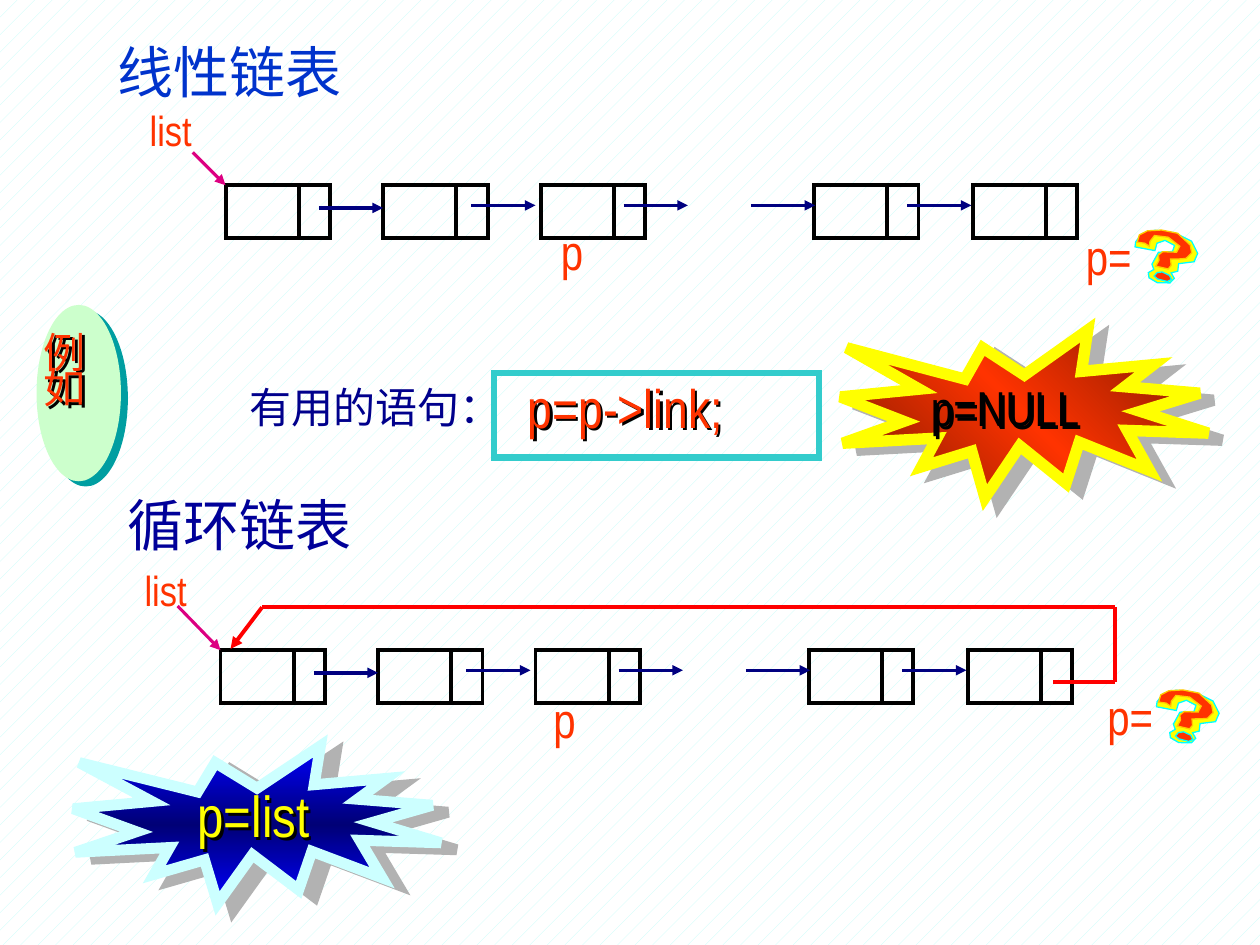
from dataclasses import dataclass

from lxml import etree
from pptx import Presentation
from pptx.dml.color import RGBColor
from pptx.enum.dml import MSO_PATTERN
from pptx.enum.shapes import MSO_CONNECTOR, MSO_SHAPE
from pptx.enum.text import MSO_ANCHOR, MSO_AUTO_SIZE, PP_ALIGN
from pptx.oxml.ns import qn
from pptx.util import Cm, Pt

RECT, OVAL, BURST = MSO_SHAPE.RECTANGLE, MSO_SHAPE.OVAL, MSO_SHAPE.EXPLOSION1
STRAIGHT, DOTS = MSO_CONNECTOR.STRAIGHT, MSO_PATTERN.PERCENT_5
LEFT, MID, TOP = PP_ALIGN.LEFT, PP_ALIGN.CENTER, MSO_ANCHOR.TOP
NO_FIT = MSO_AUTO_SIZE.NONE

UNIT = 2.54  # grid unit in centimetres
NARROW, SANS = "Arial Narrow", "Noto Sans CJK SC"
HEX = {
    "white": "FFFFFF", "mint": "C1FEF9", "black": "000000", "navy": "000080",
    "orange": "FF3300", "pink": "DC0081", "red": "FF0000", "blue": "0033CC",
    "indigo": "000099", "ink": "00008C", "yellow": "FFFF00", "cyan": "00FFFF",
    "gold": "FFCC00", "rust": "761800", "gray": "B2B2B2", "ice": "CCFFFF",
    "bright": "0000FF", "deep": "000076", "green": "CCFFCC", "teal": "009EA1",
    "frame": "33CCCC",
}


@dataclass
class Label:
    text: str
    box: tuple
    size: float
    color: str = "orange"
    font: str = NARROW
    align: int = LEFT
    wrap: bool = False
    shade: bool = False
    space: float = 1.0


@dataclass
class Burst:
    box: tuple
    edge: str
    width: float
    stops: tuple
    angle: int
    shade: tuple


def cms(*values: float) -> list:
    return [Cm(UNIT * v) for v in values]


def rgb(name: str) -> RGBColor:
    return RGBColor.from_string(HEX[name])


def add_tag(parent, tag: str, **attrs):
    return etree.SubElement(parent, qn(tag), {k: str(v) for k, v in attrs.items()})


def add_shade(shape, color: str, dist: float, angle: int) -> None:
    shape.shadow.inherit = False
    effect = shape._element.spPr.find(qn("a:effectLst"))
    outer = add_tag(effect, "a:outerShdw", blurRad=0, dist=Pt(dist),
                    dir=angle * 60000, algn="ctr", rotWithShape=0)
    add_tag(outer, "a:srgbClr", val=HEX[color])


def style(shape, fill=None, edge=None, width=1.0, shade=None) -> None:
    shape.shadow.inherit = False
    if fill:
        shape.fill.solid()
        shape.fill.fore_color.rgb = rgb(fill)
    else:
        shape.fill.background()
    if edge:
        shape.line.color.rgb = rgb(edge)
        shape.line.width = Pt(width)
        add_tag(shape.line._get_or_add_ln(), "a:miter", lim=800000)
    else:
        shape.line.fill.background()
    if shade:
        add_shade(shape, *shade)


def add_box(slide, kind: int, box: tuple, **look):
    shape = slide.shapes.add_shape(kind, *cms(*box))
    style(shape, **look)
    return shape


def add_line(slide, start: tuple, end: tuple, color: str, width: float, head=True):
    line = slide.shapes.add_connector(STRAIGHT, *cms(*start, *end))
    line.line.color.rgb = rgb(color)
    line.line.width = Pt(width)
    if head:
        add_tag(line.line._get_or_add_ln(), "a:tailEnd", type="triangle")
    add_tag(line._element.spPr, "a:effectLst")


def write(shape, label: Label) -> None:
    frame = shape.text_frame
    frame.text = label.text
    frame.word_wrap = label.wrap
    frame.auto_size = NO_FIT
    frame.vertical_anchor = TOP
    for para in frame.paragraphs:
        para.alignment = label.align
        para.line_spacing = label.space
        for run in para.runs:
            run.font.size = Pt(label.size)
            run.font.name = label.font
            run.font.color.rgb = rgb(label.color)
            props = run._r.get_or_add_rPr()
            props.find(qn("a:latin")).addnext(
                etree.Element(qn("a:ea"), typeface=SANS))
    if label.shade:
        add_shade(shape, "black", 2, 45)


def add_label(slide, label: Label) -> None:
    write(slide.shapes.add_textbox(*cms(*label.box)), label)


def add_burst(slide, burst: Burst) -> None:
    shape = add_box(slide, BURST, burst.box, fill="white", edge=burst.edge,
                    width=burst.width, shade=burst.shade)
    grad = etree.Element(qn("a:gradFill"), rotWithShape="1")
    stops = add_tag(grad, "a:gsLst")
    for i, color in enumerate(burst.stops):
        stop = add_tag(stops, "a:gs", pos=i * 50000)
        add_tag(stop, "a:srgbClr", val=HEX[color])
    add_tag(grad, "a:lin", ang=burst.angle * 60000, scaled=1)
    old = shape._element.spPr.find(qn("a:solidFill"))
    old.getparent().replace(old, grad)


# Question mark outlines, in hundredths of a grid unit
MARK = (
    ("yellow", "cyan", [
        (18, 11), (24, 8), (32, 11), (31, 16), (20, 18), (16, 28), (18, 32), (14, 35),
        (15, 39), (22, 42), (32, 41), (35, 37), (32, 33), (37, 31), (37, 25), (49, 22),
        (51, 15), (45, 6), (31, 1), (15, 1), (5, 5), (1, 12), (1, 16), (17, 17)]),
    ("orange", "gold", [
        (3, 12), (9, 12), (13, 14), (13, 10), (16, 5), (27, 5), (32, 8), (37, 11),
        (35, 16), (24, 17), (21, 20), (22, 24), (20, 29), (30, 30), (32, 27), (31, 22),
        (38, 21), (43, 20), (47, 15), (45, 9), (34, 1), (21, 0), (10, 2), (4, 6)]),
    ("orange", "cyan", [
        (23, 33), (19, 34), (17, 37), (20, 39), (28, 40), (31, 38), (29, 35)]),
)


def add_mark(slide, left: float, top: float) -> None:
    for fill, edge, points in MARK:
        pen = slide.shapes.build_freeform(*points[0], scale=Cm(UNIT / 100))
        pen.add_line_segments(points[1:], close=True)
        shape = pen.convert_to_shape(*cms(left, top))
        style(shape, fill=fill, edge=edge, width=0.75)
        shape.rotation = 7


def add_chain(slide, left: float, top: float) -> None:
    for x in (0, 1.25, 2.5, 4.67, 5.93):
        for shift, width in ((0, 0.58), (0.58, 0.25)):
            add_box(slide, RECT, (left + x + shift, top, width, 0.42),
                    edge="black", width=2.25)
    for x, y in ((0.74, 0.18), (1.95, 0.16), (3.16, 0.16), (4.17, 0.16), (5.41, 0.16)):
        add_line(slide, (left + x, top + y), (left + x + 0.51, top + y), "navy", 2)


def main() -> None:
    deck = Presentation()
    deck.slide_width, deck.slide_height = cms(10, 7.5)
    slide = deck.slides.add_slide(deck.slide_layouts[5])
    back = slide.background.fill
    back.patterned()
    back.pattern = DOTS
    back.fore_color.rgb, back.back_color.rgb = rgb("mint"), rgb("white")

    # Heading
    title = slide.shapes.title
    head = Label("线性链表", (0.83, 0.25, 1.99, 0.64), 32, "blue", wrap=True)
    title.left, title.top, title.width, title.height = cms(*head.box)
    write(title, head)

    # Linked lists with their start pointers
    add_chain(slide, 1.79, 1.47)
    add_chain(slide, 1.75, 5.16)
    add_line(slide, (1.53, 1.21), (1.79, 1.47), "pink", 1.75)
    add_line(slide, (1.41, 4.81), (1.75, 5.16), "pink", 1.75)

    # Return path of the ring
    loop = [(8.36, 5.41), (8.85, 5.41), (8.85, 4.82), (2.08, 4.82), (1.83, 5.15)]
    for start, end in zip(loop, loop[1:]):
        add_line(slide, start, end, "red", 2.25, head=end == loop[-1])

    # Bursts, oval and code frame
    add_burst(slide, Burst((6.67, 2.62, 2.92, 1.33), "yellow", 6.5,
                           ("rust", "orange", "rust"), 315, ("gray", 8.9, 27)))
    add_burst(slide, Burst((0.58, 5.92, 2.92, 1.25), "ice", 6.25,
                           ("bright", "deep", "bright"), 90, ("gray", 9.8, 24)))
    add_box(slide, OVAL, (0.29, 2.42, 0.67, 1.4), fill="green", shade=("teal", 5, 37))
    add_box(slide, RECT, (3.92, 2.96, 2.58, 0.67), edge="frame", width=3.75)

    # Labels
    for label in (
        Label("list", (1.04, 0.78, 0.63, 0.5), 24, align=MID),
        Label("list", (1, 4.43, 0.63, 0.5), 24, align=MID),
        Label("循环链表", (0.91, 3.84, 2.35, 0.64), 32, "indigo", wrap=True),
        Label("p", (4.33, 1.71, 0.42, 0.57), 28, align=MID),
        Label("p", (4.27, 5.42, 0.42, 0.57), 28, align=MID),
        Label("p=", (8.52, 1.75, 0.64, 0.57), 28),
        Label("p=", (8.69, 5.4, 0.64, 0.57), 28),
        Label("p=NULL", (7.29, 2.95, 1.72, 0.57), 28, "black", shade=True),
        Label("p=list", (1.47, 6.14, 1.1, 0.66), 33, "yellow", shade=True),
        Label("例\n如", (0.25, 2.65, 0.54, 0.69), 24, shade=True, space=0.7),
        Label("有用的语句：", (1.88, 2.98, 2.49, 0.5), 24, "ink", SANS, wrap=True),
        Label("p=p->link;", (4.09, 2.92, 2.33, 0.62), 31, wrap=True, shade=True),
    ):
        add_label(slide, label)

    # Question marks
    add_mark(slide, 8.99, 1.83)
    add_mark(slide, 9.16, 5.48)
    deck.save("out.pptx")


if __name__ == "__main__":
    main()
